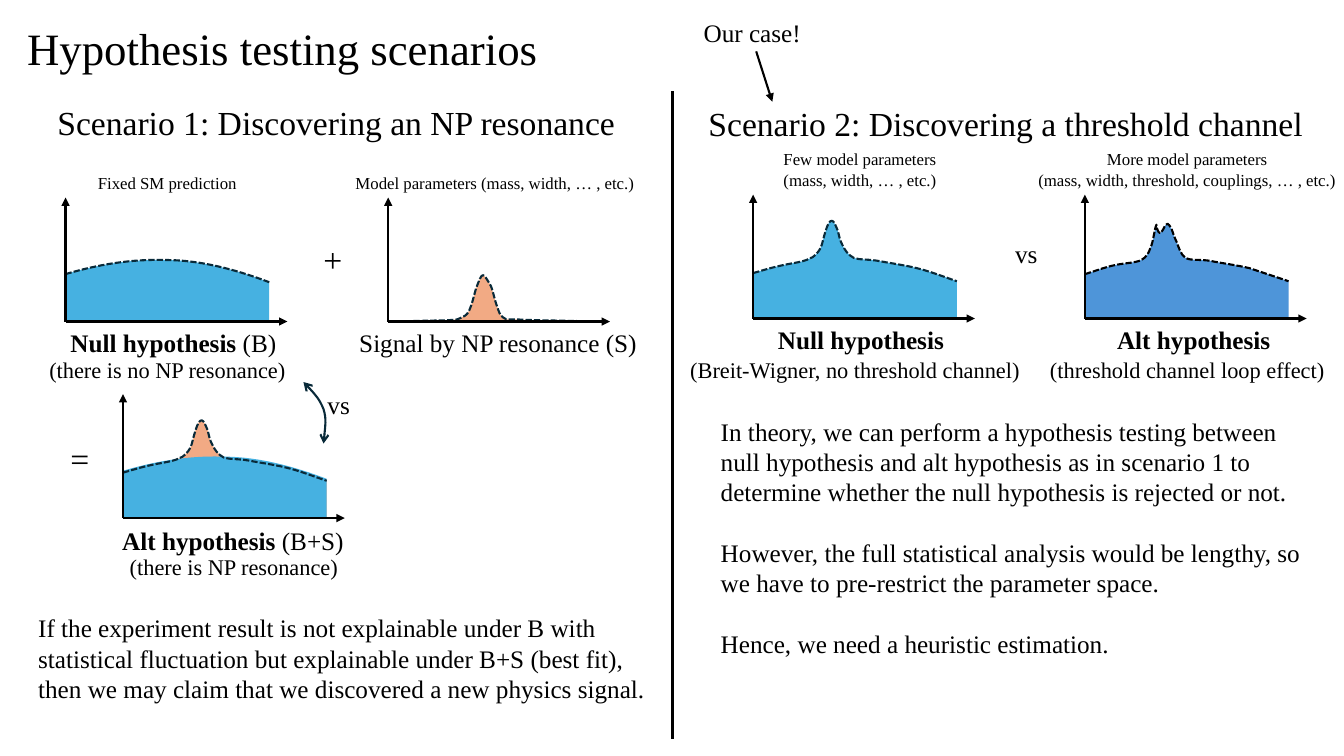
import pptx
import pptx.dml.color
import pptx.enum.dml
import pptx.enum.shapes
import pptx.enum.text
import pptx.oxml.ns
import pptx.util

PX = 9144  # EMU, 100 px to the inch
BLACK, NAVY = "000000", "092A39"
SKY, BLUE, PEACH = "46B1E1", "4E95D9", "F2AA84"
FONT = "Times New Roman"
AXIS_LENGTH, AXIS_HEIGHT = 220, 123

rgb = pptx.dml.color.RGBColor.from_string
qn = pptx.oxml.ns.qn

# Curves are measured from the axis corner: a start point, then Bezier triples.
HUMP = [(0, -47), (34, -57), (66, -62), (99, -61), (131, -61), (165, -53), (202, -39)]
BELL = [(0, 0), (18, 0), (38, -1), (56, -1), (71, -2), (69, -2), (73, -4),
        (78, -6), (80, -9), (82, -15), (84, -20), (86, -30), (88, -35),
        (90, -40), (92, -46), (94, -46), (96, -46), (99, -40), (102, -35),
        (104, -30), (106, -20), (108, -15), (110, -9), (111, -6), (114, -4),
        (118, -2), (113, -2), (129, -2), (142, -1), (178, -1), (198, 0)]
PEAK = [(0, -45), (10, -48), (20, -51), (30, -53), (39, -55), (49, -56), (55, -59),
        (61, -61), (64, -65), (67, -70), (69, -75), (70, -82), (72, -87),
        (74, -94), (76, -97), (78, -97), (80, -97), (82, -92), (84, -87),
        (85, -83), (86, -77), (89, -72), (91, -68), (94, -63), (100, -60),
        (106, -58), (114, -59), (125, -57), (135, -55), (150, -53), (162, -50),
        (175, -47), (190, -41), (202, -37)]
DOUBLE_PEAK = [(0, -44), (10, -47), (20, -51), (30, -53), (39, -55), (50, -55), (56, -58),
               (61, -61), (63, -64), (65, -70), (68, -76), (69, -89), (71, -93),
               (71, -89), (72, -89), (73, -86), (75, -83), (76, -86), (78, -89),
               (79, -91), (80, -94), (82, -94), (83, -94), (84, -92), (86, -89),
               (87, -86), (89, -80), (91, -76), (93, -71), (95, -63), (100, -60),
               (106, -57), (115, -59), (125, -57), (135, -55), (150, -53), (163, -50),
               (175, -46), (190, -41), (202, -37)]
VS_ARC = [(301, 379), (309, 387), (317, 396), (321, 406), (324, 416), (322, 428), (321, 440)]

deck = pptx.Presentation()
deck.slide_width, deck.slide_height = 1333 * PX, 750 * PX
page = deck.slides.add_slide(deck.slide_layouts[6])


def add_curve(origin, curve, fill=None, line=None):
    """Draw a Bezier chain; a filled one is closed down to the axis."""
    corners = [(curve[-1][0], 0), (0, 0)] if fill else []
    points = [((origin[0] + x) * PX, (origin[1] + y) * PX) for x, y in curve + corners]
    builder = page.shapes.build_freeform(*points[0], scale=1.0)
    builder.add_line_segments(points[1:], close=bool(fill))
    shape = builder.convert_to_shape()
    # Join each three straight pieces of the chain into one Bezier span
    pieces = list(shape._element.iter(qn("a:lnTo")))[:len(curve) - 1]
    for first in range(0, len(pieces), 3):
        span = pieces[first].makeelement(qn("a:cubicBezTo"))
        pieces[first].addprevious(span)
        for piece in pieces[first:first + 3]:
            span.append(piece[0])
            piece.getparent().remove(piece)
    shape.shadow.inherit = False
    if fill:
        shape.fill.solid()
        shape.fill.fore_color.rgb = rgb(fill)
        shape.line.fill.background()
    else:
        shape.fill.background()
        shape.line.color.rgb = rgb(line)
        shape.line.width = pptx.util.Pt(1.5)
    return shape


def add_line(start, end, arrow=True):
    connector = page.shapes.add_connector(pptx.enum.shapes.MSO_CONNECTOR.STRAIGHT,
                                          *(value * PX for value in start + end))
    connector.line.color.rgb = rgb(BLACK)
    connector.line.width = pptx.util.Pt(1.5)
    properties = connector._element.spPr
    if arrow:
        properties.find(qn("a:ln")).append(
            properties.makeelement(qn("a:tailEnd"), {"type": "triangle"}))
    properties.append(properties.makeelement(qn("a:effectLst")))


# Divider and the pointer to scenario 2
add_line((667, 733), (667, 90), arrow=False)
add_line((750, 51), (766, 101))

# Plots: axis corner, filled areas from back to front, dashed outline, its colour
plots = [
    ((65, 319), [(HUMP, SKY)], HUMP, NAVY),
    ((385, 319), [(BELL, PEACH)], BELL, NAVY),
    ((122, 514), [(PEAK, PEACH), (HUMP, SKY)], PEAK, NAVY),
    ((747, 316), [(PEAK, SKY)], PEAK, NAVY),
    ((1076, 316), [(DOUBLE_PEAK, BLUE)], DOUBLE_PEAK, BLACK),
]
for (x, y), areas, outline, color in plots:
    for area, fill in areas:
        add_curve((x, y), area, fill=fill)
    dashes = add_curve((x, y), outline, line=color)
    dashes.line.dash_style = pptx.enum.dml.MSO_LINE.SQUARE_DOT
    add_line((x, y), (x + AXIS_LENGTH, y))
    add_line((x, y), (x, y - AXIS_HEIGHT))

arc = add_curve((0, 0), VS_ARC, line=NAVY)
arc_line = arc._element.spPr.find(qn("a:ln"))
for end in ("a:headEnd", "a:tailEnd"):
    arc_line.append(arc_line.makeelement(qn(end), {"type": "arrow"}))

# Texts: left, top, width, height, size, centred, paragraphs.
# "**" splits a bold lead from the rest; a leading "^" opens a gap of one line.
texts = [
    (17, 16, 532, 64, 32, False, ["Hypothesis testing scenarios"]),
    (688, 12, 118, 40, 18, False, ["Our case!"]),
    (44, 96, 579, 50, 24, True, ["Scenario 1: Discovering an NP resonance"]),
    (690, 97, 615, 50, 24, True, ["Scenario 2: Discovering a threshold channel"]),
    (86, 166, 160, 30, 12, True, ["Fixed SM prediction"]),
    (341, 166, 300, 30, 12, True, ["Model parameters (mass, width, … , etc.)"]),
    (766, 143, 174, 50, 12, True, ["Few model parameters", "(mass, width, … , etc.)"]),
    (1018, 143, 319, 50, 12, True,
     ["More model parameters", "(mass, width, threshold, couplings, … , etc.)"]),
    (311, 232, 44, 50, 24, False, ["+"]),
    (60, 430, 39, 50, 24, False, ["="]),
    (315, 381, 43, 40, 18, False, ["vs"]),
    (997, 232, 43, 40, 18, False, ["vs"]),
    (59, 320, 226, 40, 18, True, ["Null hypothesis** (B)"]),
    (345, 320, 298, 40, 18, True, ["Signal by NP resonance (S)"]),
    (110, 516, 242, 40, 18, True, ["Alt hypothesis** (B+S)"]),
    (761, 317, 186, 40, 18, True, ["Null hypothesis**"]),
    (1097, 317, 174, 40, 18, True, ["Alt hypothesis**"]),
    (37, 348, 258, 37, 16, True, ["(there is no NP resonance)"]),
    (114, 544, 236, 37, 16, True, ["(there is NP resonance)"]),
    (672, 348, 352, 37, 16, True, ["(Breit-Wigner, no threshold channel)"]),
    (1029, 348, 297, 37, 16, True, ["(threshold channel loop effect)"]),
    (28, 603, 628, 101, 18, False,
     ["If the experiment result is not explainable under B with",
      "statistical fluctuation but explainable under B+S (best fit),",
      "then we may claim that we discovered a new physics signal."]),
    (705, 408, 601, 252, 18, False,
     ["In theory, we can perform a hypothesis testing between",
      "null hypothesis and alt hypothesis as in scenario 1 to",
      "determine whether the null hypothesis is rejected or not.",
      "^However, the full statistical analysis would be lengthy, so",
      "we have to pre-restrict the parameter space.",
      "^Hence, we need a heuristic estimation."]),
]
for left, top, width, height, size, centred, paragraphs in texts:
    box = page.shapes.add_textbox(left * PX, top * PX, width * PX, height * PX)
    frame = box.text_frame
    frame.word_wrap = False
    frame.auto_size = pptx.enum.text.MSO_AUTO_SIZE.SHAPE_TO_FIT_TEXT
    for index, wording in enumerate(paragraphs):
        para = frame.paragraphs[0] if index == 0 else frame.add_paragraph()
        if centred:
            para.alignment = pptx.enum.text.PP_ALIGN.CENTER
        if wording.startswith("^"):
            para.space_before = pptx.util.Pt(size * 1.2)
        lead, mark, rest = wording.lstrip("^").partition("**")
        for words, bold in ((lead, bool(mark)), (rest, False)):
            if words:
                span = para.add_run()
                span.text = words
                span.font.name = FONT
                span.font.size = pptx.util.Pt(size)
                span.font.bold = bold
                span.font.color.rgb = rgb(BLACK)

deck.save("out.pptx")
